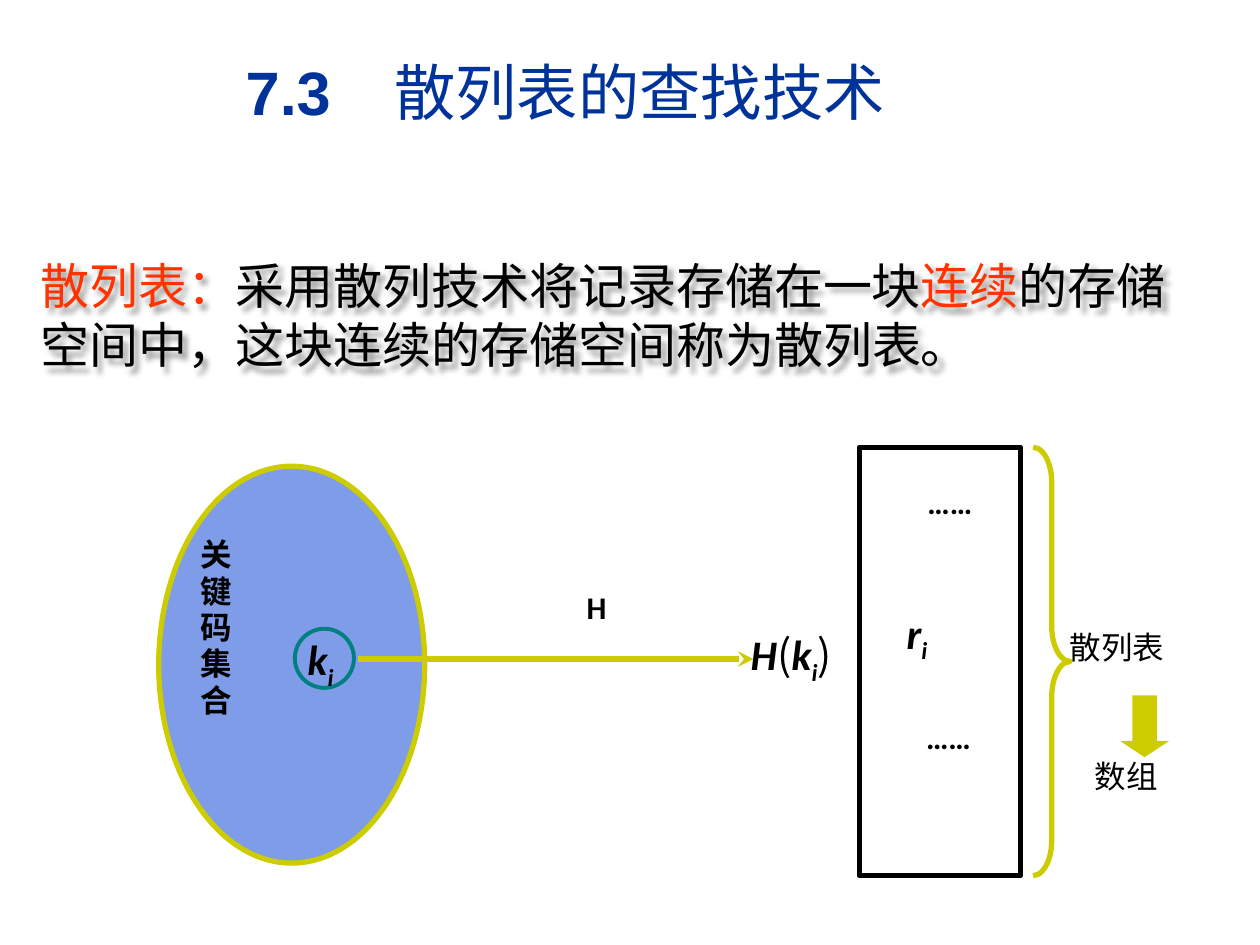
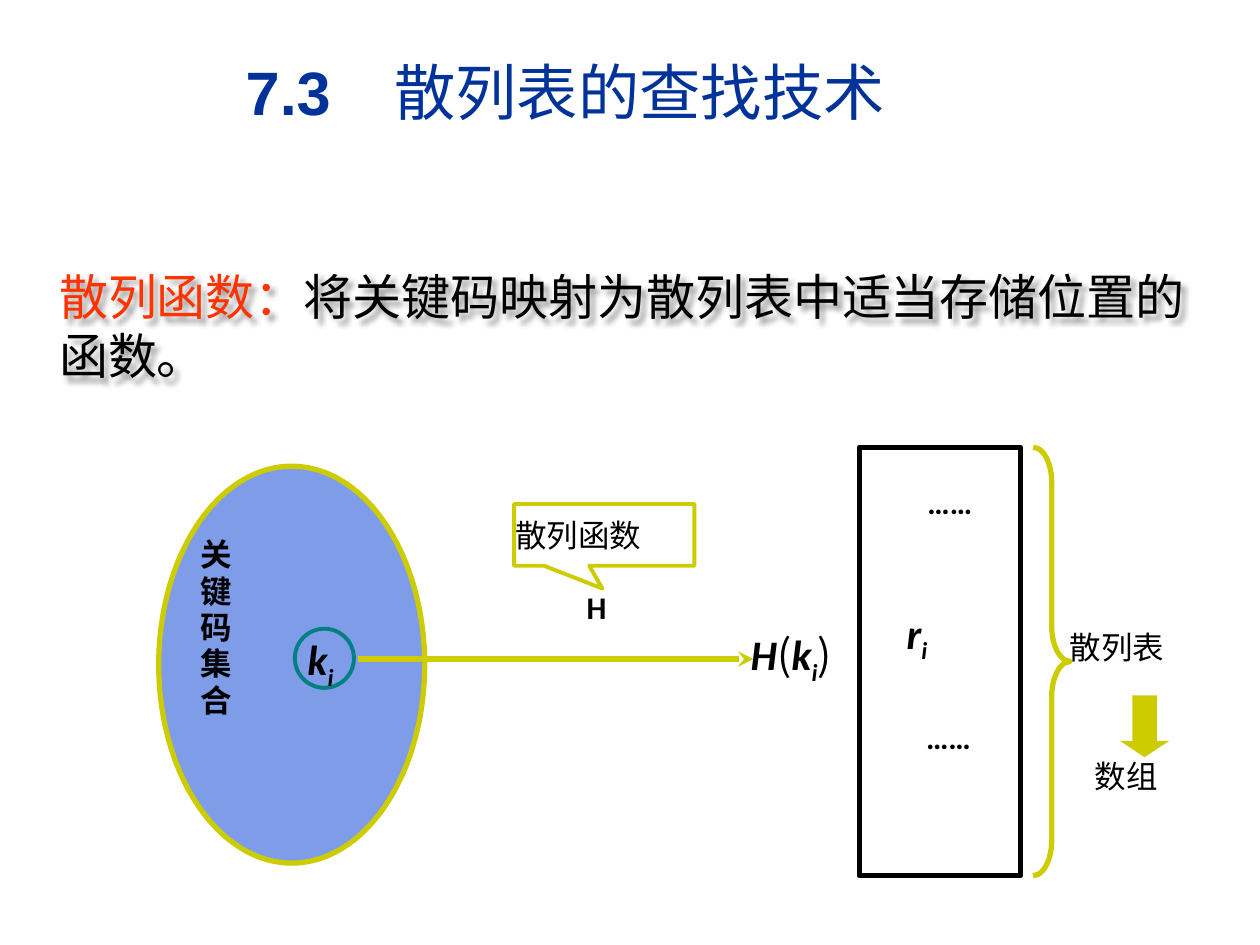
from dataclasses import dataclass, field
from typing import Optional

from lxml.etree import SubElement
from pptx import Presentation
from pptx.dml.color import RGBColor
from pptx.enum.shapes import MSO_CONNECTOR, MSO_SHAPE as Shape
from pptx.enum.text import MSO_ANCHOR as Anchor, PP_ALIGN as Align
from pptx.oxml.ns import qn
from pptx.util import Pt

COLORS = {
    "title": "003399",
    "text": "000000",
    "term": "FF3300",
    "set": "7E9CE8",
    "olive": "CCCC00",
    "teal": "008080",
}
CJK = "Noto Sans CJK SC"
TIGHT = 0.96


@dataclass
class Style:
    size: float
    name: str = CJK
    color: str = "text"
    bold: bool = False
    italic: bool = False
    baseline: int = 0


@dataclass
class Label:
    box: tuple[float, float, float, float]
    runs: list[tuple[str, Style]]
    align: Align = Align.LEFT
    spacing: float = 1.0
    anchor: Anchor = Anchor.TOP
    inset: float = 0
    tab: Optional[float] = None
    shadow: bool = False


@dataclass
class Figure:
    kind: Shape
    box: tuple[float, float, float, float]
    fill: Optional[str] = None
    line: Optional[str] = None
    width: float = 3
    adjustments: list[float] = field(default_factory=list)


BODY = Style(28)
TERM = Style(28, color="term")
CAPTION = Style(18)
MARK = Style(18, "Calibri", bold=True)
VARIABLE = Style(24, "Calibri", bold=True, italic=True)
INDEX = Style(24, "Calibri", bold=True, italic=True, baseline=-25000)
BRACKET = Style(24)

TITLE = Label(
    (140.4, 31, 433, 42.5),
    [("7.3\t", Style(35, "Arial", "title", bold=True)),
     ("散列表的查找技术", Style(35, color="title"))],
    anchor=Anchor.MIDDLE, tab=85)

FIGURES = [
    Figure(Shape.OVAL, (90.7, 266.4, 152, 226.8), fill="set", line="olive"),
    Figure(Shape.RECTANGLE, (491, 255.6, 92.2, 244.8), line="text"),
    Figure(Shape.OVAL, (168.5, 359.3, 33.8, 33.8), line="teal", width=2.25),
    Figure(Shape.RIGHT_BRACE, (590.4, 255.6, 21.2, 244.8), line="olive",
           adjustments=[0.95, 0.5]),
    Figure(Shape.DOWN_ARROW, (640, 397.4, 28.1, 35.3), fill="olive",
           adjustments=[0.5, 0.33]),
]

LABELS = [
    Label((114.5, 307.4, 24.5, 104.4),
          [("关键码集合", Style(18, "Arial", bold=True))], Align.JUSTIFY, TIGHT),
    Label((175.7, 362.2, 28.8, 28), [("k", VARIABLE), ("i", INDEX)],
          Align.JUSTIFY, TIGHT),
    Label((518, 347, 40, 29), [("r", VARIABLE), ("i", INDEX)], Align.JUSTIFY),
    Label((429, 359.3, 58.3, 28),
          [("H", VARIABLE), ("(", BRACKET), ("k", VARIABLE), ("i", INDEX),
           (")", BRACKET)], Align.JUSTIFY, TIGHT),
    Label((530, 277.2, 26.6, 21), [("……", MARK)], Align.JUSTIFY, TIGHT),
    Label((529.2, 411.8, 26.6, 21), [("……", MARK)], Align.JUSTIFY, TIGHT),
    Label((264.2, 337.7, 153.4, 21), [("H", MARK)], Align.CENTER, TIGHT),
    Label((611.3, 358.6, 87, 21.6), [("散列表", CAPTION)]),
    Label((625.7, 432.7, 64, 21.6), [("数组", CAPTION)]),
]
MAPPING_ARROW = (204.5, 376.6, 430.6, 376.6)

TABLE_DEFINITION = Label(
    (23, 146.2, 660, 67.7),
    [("散列表：", TERM), ("采用散列技术将记录存储在一块", BODY),
     ("连续", TERM), ("的存储空间中，这块连续的存储空间称为散列表。", BODY)],
    shadow=True)
FUNCTION_DEFINITION = Label(
    (33.8, 152.6, 660, 67.7),
    [("散列函数：", TERM),
     ("将关键码映射为散列表中适当存储位置的函数。", BODY)],
    shadow=True)

CALLOUT_BOX = (293.8, 288, 103, 35.3)
CALLOUT = Figure(Shape.RECTANGULAR_CALLOUT, CALLOUT_BOX, line="olive",
                 width=2.25, adjustments=[-0.01, 0.87])
CALLOUT_TEXT = Label(CALLOUT_BOX, [("散列函数", CAPTION)],
                     anchor=Anchor.MIDDLE, inset=0.72)


def rgb(name: str) -> RGBColor:
    return RGBColor.from_string(COLORS[name])


def add_run(p, text: str, style: Style) -> None:
    r = p.add_run()
    r.text = text
    values = {"size": Pt(style.size), "name": style.name,
              "bold": style.bold, "italic": style.italic}
    for key, value in values.items():
        setattr(r.font, key, value)
    r.font.color.rgb = rgb(style.color)
    props = r._r.get_or_add_rPr()
    SubElement(props, qn("a:ea"), typeface=style.name)
    if style.baseline:
        props.set("baseline", str(style.baseline))


def write(sp, label: Label) -> None:
    """Fill the text frame of a shape with the runs of a label."""
    tf = sp.text_frame
    values = {"word_wrap": True, "vertical_anchor": label.anchor}
    for side in ("left", "top", "right", "bottom"):
        values[f"margin_{side}"] = Pt(label.inset)
    for key, value in values.items():
        setattr(tf, key, value)
    p = tf.paragraphs[0]
    p.alignment, p.line_spacing = label.align, label.spacing
    if label.tab:
        tabs = SubElement(p._p.get_or_add_pPr(), qn("a:tabLst"))
        SubElement(tabs, qn("a:tab"), pos=str(Pt(label.tab)), algn="l")
    for text, style in label.runs:
        add_run(p, text, style)


def add_text_shadow(sp) -> None:
    effects = SubElement(sp._element.spPr, qn("a:effectLst"))
    shadow = SubElement(effects, qn("a:outerShdw"), blurRad=str(Pt(3)),
                        dist=str(Pt(3)), dir="2700000", algn="tl")
    color = SubElement(shadow, qn("a:srgbClr"), val=COLORS["text"])
    SubElement(color, qn("a:alpha"), val="40000")


def add_label(slide, label: Label) -> None:
    sp = slide.shapes.add_textbox(*map(Pt, label.box))
    write(sp, label)
    if label.shadow:
        add_text_shadow(sp)


def add_figure(slide, figure: Figure):
    sp = slide.shapes.add_shape(figure.kind, *map(Pt, figure.box))
    sp.shadow.inherit = False
    for i, value in enumerate(figure.adjustments):
        sp.adjustments[i] = value
    if figure.fill:
        sp.fill.solid()
        sp.fill.fore_color.rgb = rgb(figure.fill)
    else:
        sp.fill.background()
    if figure.line:
        sp.line.color.rgb = rgb(figure.line)
        sp.line.width = Pt(figure.width)
    else:
        sp.line.fill.background()
    return sp


def add_mapping_arrow(slide) -> None:
    line = slide.shapes.add_connector(MSO_CONNECTOR.STRAIGHT,
                                      *map(Pt, MAPPING_ARROW))
    line.line.color.rgb = rgb("olive")
    line.line.width = Pt(3)
    SubElement(line.line._get_or_add_ln(), qn("a:tailEnd"), type="stealth")
    SubElement(line._element.spPr, qn("a:effectLst"))


def add_hash_slide(prs, definition: Label):
    """Add a slide with the title, a definition and the hashing diagram."""
    slide = prs.slides.add_slide(prs.slide_layouts[6])
    add_label(slide, definition)
    add_label(slide, TITLE)
    for figure in FIGURES:
        add_figure(slide, figure)
    for label in LABELS:
        add_label(slide, label)
    add_mapping_arrow(slide)
    return slide


def main() -> None:
    prs = Presentation()
    prs.slide_width, prs.slide_height = Pt(720), Pt(540)
    add_hash_slide(prs, TABLE_DEFINITION)
    slide = add_hash_slide(prs, FUNCTION_DEFINITION)
    write(add_figure(slide, CALLOUT), CALLOUT_TEXT)
    prs.save("out.pptx")


if __name__ == "__main__":
    main()
